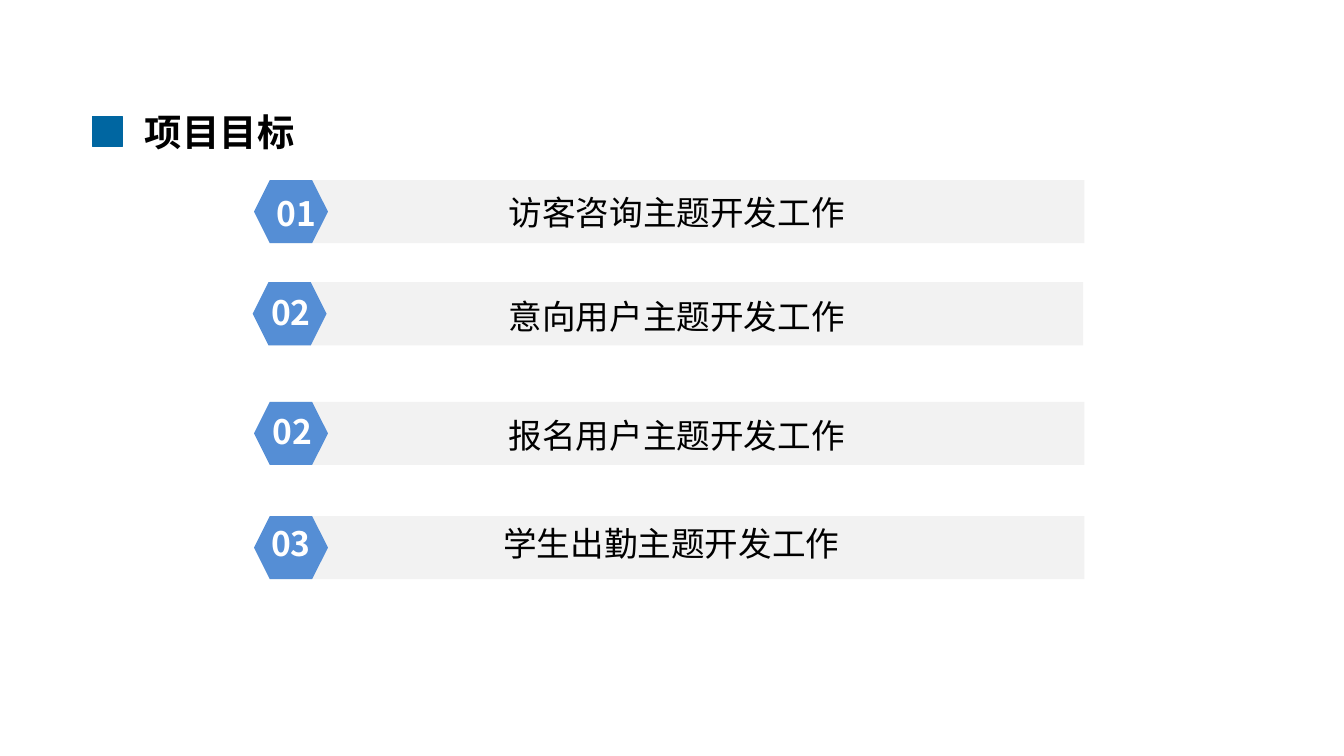
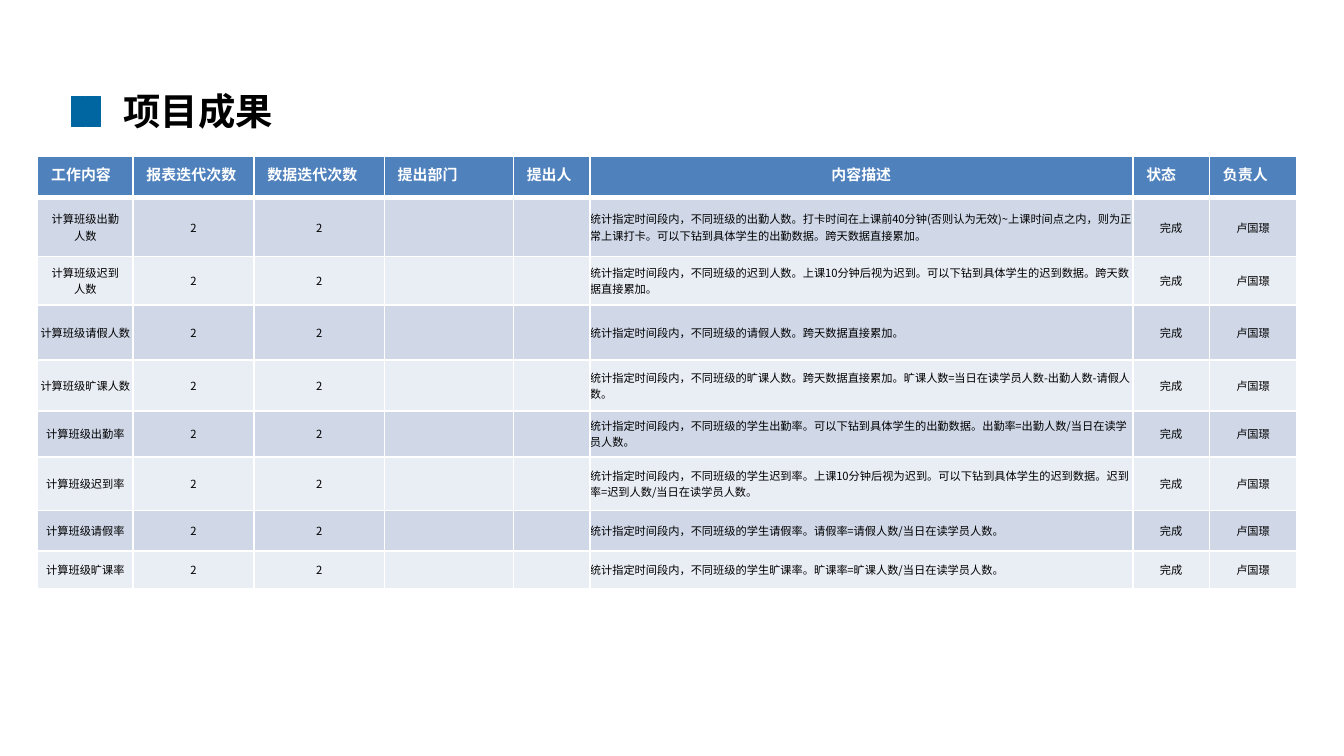
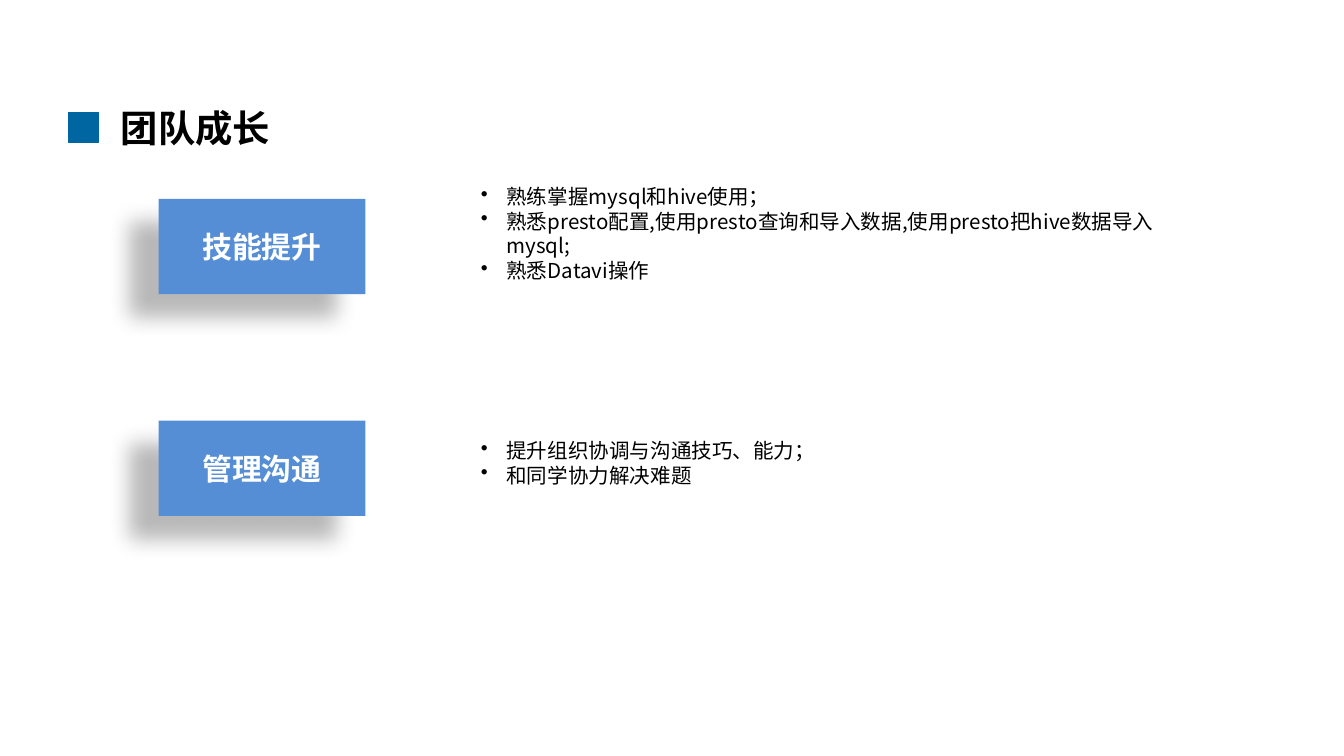
from lxml.etree import SubElement
from pptx import Presentation
from pptx.dml.color import RGBColor
from pptx.enum.shapes import MSO_SHAPE as SHAPE
from pptx.enum.text import MSO_ANCHOR as ANCHOR, PP_ALIGN as ALIGN
from pptx.oxml.ns import qn
from pptx.util import Inches, Pt

FONT = "Noto Sans CJK SC"
BLACK = RGBColor(0x00, 0x00, 0x00)
WHITE = RGBColor(0xFF, 0xFF, 0xFF)
MARKER_BLUE = RGBColor(0x00, 0x66, 0xA1)
ACCENT_BLUE = RGBColor(0x55, 0x8E, 0xD5)
BAR_GREY = RGBColor(0xF2, 0xF2, 0xF2)
HEADER_BLUE = RGBColor(0x4F, 0x81, 0xBD)
BANDS = (RGBColor(0xD0, 0xD8, 0xE8), RGBColor(0xE9, 0xED, 0xF4))

# Goals: row left and top, number with its offset, label with its offset
GOALS = [
    (1.89, 1.34, "01", (0.04, 0.05), "访客咨询主题开发工作", (0.94, 0.04)),
    (1.88, 2.10, "02", (0.01, 0.02), "意向用户主题开发工作", (0.95, 0.05)),
    (1.89, 2.99, "02", (0.01, 0.02), "报名用户主题开发工作", (0.94, 0.05)),
    (1.89, 3.84, "03", (0.00, 0.00), "学生出勤主题开发工作", (0.90, 0.00)),
]

HEADERS = ["工作内容", "报表迭代次数", "数据迭代次数", "提出部门",
           "提出人", "内容描述", "状态", "负责人"]
COLUMN_WIDTHS = [0.71, 0.9, 0.97, 0.96, 0.57, 4.04, 0.57, 0.65]
ROW_HEIGHTS = [0.31, 0.44, 0.36, 0.41, 0.38, 0.34, 0.4, 0.3, 0.28]
DESCRIPTION = HEADERS.index("内容描述")
ROOMY_ROWS = (1, 2)  # rows that keep the default cell margins
SCOPE = "统计指定时间段内，不同班级的"
RESULTS = [
    ("出勤人数", "出勤人数。打卡时间在上课前40分钟(否则认为无效)~上课时间点之内，"
                 "则为正常上课打卡。可以下钻到具体学生的出勤数据。跨天数据直接累加。"),
    ("迟到人数", "迟到人数。上课10分钟后视为迟到。可以下钻到具体学生的迟到数据。"
                 "跨天数据直接累加。"),
    ("请假人数", "请假人数。跨天数据直接累加。"),
    ("旷课人数", "旷课人数。跨天数据直接累加。旷课人数=当日在读学员人数-出勤人数-请假人数。"),
    ("出勤率", "学生出勤率。可以下钻到具体学生的出勤数据。出勤率=出勤人数/当日在读学员人数。"),
    ("迟到率", "学生迟到率。上课10分钟后视为迟到。可以下钻到具体学生的迟到数据。"
               "迟到率=迟到人数/当日在读学员人数。"),
    ("请假率", "学生请假率。请假率=请假人数/当日在读学员人数。"),
    ("旷课率", "学生旷课率。旷课率=旷课人数/当日在读学员人数。"),
]

# Growth: card top, card label, notes top, notes height, notes
GROWTH = [
    (1.48, "技能提升", 1.32, 0.84, [
        "熟练掌握mysql和hive使用；",
        "熟悉presto配置,使用presto查询和导入数据,使用presto把hive数据导入mysql;",
        "熟悉Datavi操作"]),
    (3.13, "管理沟通", 3.21, 0.47, [
        "提升组织协调与沟通技巧、能力；",
        "和同学协力解决难题"]),
]


def write(frame, lines, size=18, color=BLACK, bold=False, align=ALIGN.LEFT,
          bullet=None, spacing=1.2):
    """Fill a text frame, one paragraph for each line."""
    for i, line in enumerate(lines):
        para = frame.paragraphs[0] if i == 0 else frame.add_paragraph()
        para.alignment = align
        if spacing:
            para.line_spacing = Pt(size * spacing)
        if bullet:
            props = para._p.get_or_add_pPr()
            props.set("marL", str(Inches(0.19)))
            props.set("indent", str(-Inches(0.19)))
            SubElement(props, qn("a:buChar")).set("char", bullet)
        if not line:
            para._p.get_or_add_endParaRPr().set("sz", str(size * 100))
            continue
        run = para.add_run()
        run.text = line
        run.font.size, run.font.bold, run.font.name = Pt(size), bold, FONT
        run.font.color.rgb = color
        SubElement(run._r.get_or_add_rPr(), qn("a:ea")).set("typeface", FONT)


def add_text(slide, left, top, width, height, lines, **style):
    box = slide.shapes.add_textbox(Inches(left), Inches(top), Inches(width), Inches(height))
    box.text_frame.word_wrap = True
    write(box.text_frame, lines, **style)


def add_block(shapes, kind, left, top, width, height, fill, outline=None):
    block = shapes.add_shape(kind, Inches(left), Inches(top), Inches(width), Inches(height))
    block.shadow.inherit = False
    block.fill.solid()
    block.fill.fore_color.rgb = fill
    if outline:
        block.line.color.rgb = outline
        block.line.width = Pt(0.5)
    else:
        block.line.fill.background()
    return block


def add_heading(slide, left, top, title):
    """Section title with a marker of two by two squares, from the marker's corner."""
    add_text(slide, left + 0.29, top - 0.11, 6.54, 0.44, [title], size=20, bold=True)
    marker = slide.shapes.add_group_shape()
    side = 0.11
    for i in range(4):
        add_block(marker.shapes, SHAPE.RECTANGLE, left + i % 2 * side, top + i // 2 * side,
                  side, side, MARKER_BLUE, MARKER_BLUE)


def add_goal(slide, left, top, number, number_at, label, label_at):
    add_block(slide.shapes, SHAPE.RECTANGLE, left + 0.12, top, 6.06, 0.47, BAR_GREY)
    add_block(slide.shapes, SHAPE.HEXAGON, left, top, 0.55, 0.47, ACCENT_BLUE)
    add_text(slide, left + number_at[0], top + number_at[1], 0.55, 0.4, [number],
             color=WHITE, bold=True, align=ALIGN.CENTER)
    add_text(slide, left + label_at[0], top + label_at[1], 4.41, 0.4, [label],
             align=ALIGN.CENTER)


def set_borders(cell, top, bottom):
    """White cell borders; top and bottom are widths in points."""
    props = cell._tc.get_or_add_tcPr()
    for i, (side, width) in enumerate((("L", 1), ("R", 1), ("T", top), ("B", bottom))):
        line = SubElement(props, qn(f"a:ln{side}"))
        line.set("w", str(Pt(width)))
        fill = SubElement(line, qn("a:solidFill"))
        SubElement(fill, qn("a:srgbClr")).set("val", str(WHITE))
        props.insert(i, line)


def add_results(slide, left, top):
    rows = [HEADERS] + [
        ["计算班级" + topic, "2", "2", "", "", SCOPE + detail, "完成", "卢国璟"]
        for topic, detail in RESULTS]
    table = slide.shapes.add_table(
        len(rows), len(HEADERS), Inches(left), Inches(top),
        Inches(sum(COLUMN_WIDTHS)), Inches(sum(ROW_HEIGHTS))).table
    for column, width in zip(table.columns, COLUMN_WIDTHS):
        column.width = Inches(width)
    for r, (values, height) in enumerate(zip(rows, ROW_HEIGHTS)):
        table.rows[r].height = Inches(height)
        for c, value in enumerate(values):
            cell = table.cell(r, c)
            is_header, is_description = r == 0, c == DESCRIPTION
            cell.fill.solid()
            cell.fill.fore_color.rgb = HEADER_BLUE if is_header else BANDS[(r - 1) % 2]
            set_borders(cell, top=3 if r == 1 else 1, bottom=3 if is_header else 1)
            if is_header:
                write(cell.text_frame, [value], size=8, color=WHITE, bold=True, spacing=None,
                      align=ALIGN.CENTER if is_description else ALIGN.LEFT)
                continue
            cell.vertical_anchor = ANCHOR.MIDDLE
            if is_description or r not in ROOMY_ROWS:
                cell.margin_left = cell.margin_right = 0
                cell.margin_top = cell.margin_bottom = 0
            write(cell.text_frame, [value], size=6, spacing=None,
                  align=ALIGN.LEFT if is_description else ALIGN.CENTER)


def add_card(slide, left, top, label):
    """Labelled card with a soft shadow to the lower left."""
    card = add_block(slide.shapes, SHAPE.RECTANGLE, left, top, 1.54, 0.71, ACCENT_BLUE)
    effects = card._element.spPr.find(qn("a:effectLst"))
    shadow = SubElement(effects, qn("a:outerShdw"))
    for key, value in (("blurRad", Pt(11.8)), ("dist", Pt(19.7)), ("dir", 141 * 60000)):
        shadow.set(key, str(value))
    shade = SubElement(shadow, qn("a:srgbClr"))
    shade.set("val", str(BLACK))
    SubElement(shade, qn("a:alpha")).set("val", "28000")
    card.text_frame.vertical_anchor = ANCHOR.MIDDLE
    write(card.text_frame, [label], size=16, color=WHITE, bold=True, align=ALIGN.CENTER)


def main():
    deck = Presentation()
    # Widescreen, 16 to 9
    deck.slide_width = Inches(10)
    deck.slide_height = Inches(10 * 9 / 16)
    blank = deck.slide_layouts[6]

    # Project goals
    goals = deck.slides.add_slide(blank)
    add_heading(goals, 0.69, 0.87, "项目目标")
    for goal in GOALS:
        add_goal(goals, *goal)

    # Project results
    results = deck.slides.add_slide(blank)
    add_heading(results, 0.53, 0.72, "项目成果")
    add_results(results, 0.28, 1.16)

    # Team growth
    growth = deck.slides.add_slide(blank)
    add_heading(growth, 0.51, 0.84, "团队成长")
    for card_top, label, notes_top, notes_height, notes in GROWTH:
        add_card(growth, 1.18, card_top, label)
        add_text(growth, 3.48, notes_top, 5.47, notes_height, notes, size=11, bullet="•")

    deck.save("out.pptx")


if __name__ == "__main__":
    main()
